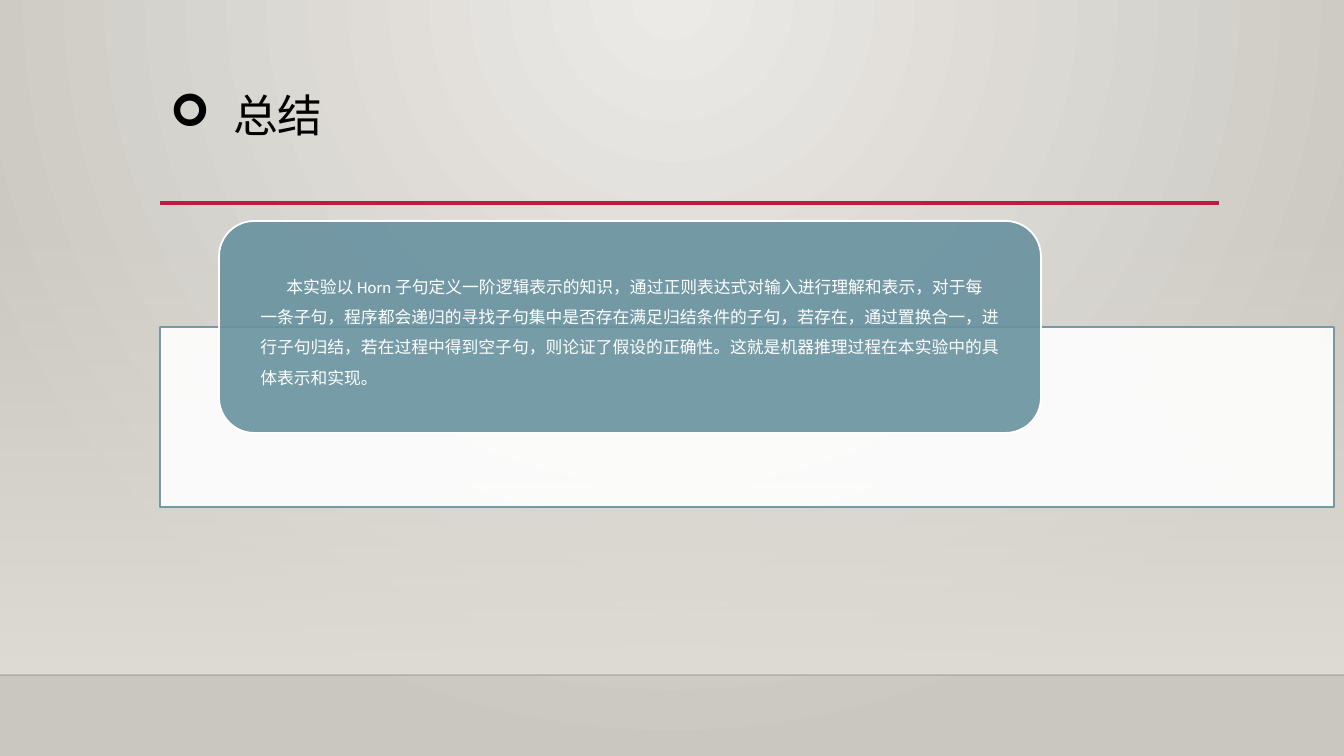
from lxml.etree import SubElement
from pptx import Presentation
from pptx.dml.color import RGBColor
from pptx.enum.shapes import MSO_CONNECTOR, MSO_SHAPE
from pptx.enum.text import MSO_ANCHOR, PP_ALIGN
from pptx.oxml import parse_xml
from pptx.oxml.ns import nsdecls, qn
from pptx.util import Pt

EMU_PER_PX = 914400 / 100.8
WIDTH, HEIGHT = 1344, 756
FLOOR_TOP = 675
FONT = "Calibri"
TEAL, WHITE, RED = "6892A0", "FFFFFF", "B71E42"
SUMMARY = (
    "本实验以 Horn 子句定义一阶逻辑表示的知识，通过正则表达式对输入进行理解和表示，"
    "对于每一条子句，程序都会递归的寻找子句集中是否存在满足归结条件的子句，若存在，"
    "通过置换合一，进行子句归结，若在过程中得到空子句，则论证了假设的正确性。"
    "这就是机器推理过程在本实验中的具体表示和实现。"
)


def px(length):
    return round(length * EMU_PER_PX)


def rgb(color):
    return RGBColor.from_string(color)


def set_opacity(fill, percent):
    color = fill._xPr.find(qn("a:solidFill"))[0]
    SubElement(color, qn("a:alpha"), val=str(percent * 1000))


def gradient(stops, direction):
    """Return a gradFill element; stops are (position, color, opacity)."""
    marks = "".join(
        f'<a:gs pos="{position * 1000}"><a:srgbClr val="{color}">'
        f'<a:alpha val="{opacity * 1000}"/></a:srgbClr></a:gs>'
        for position, color, opacity in stops
    )
    return parse_xml(
        f'<a:gradFill {nsdecls("a")} rotWithShape="1">'
        f"<a:gsLst>{marks}</a:gsLst>{direction}</a:gradFill>"
    )


def paint_background(slide):
    fill = slide.background.fill
    fill.solid()
    glow = gradient(
        [(0, "ECEAE7", 100), (100, "CAC7C1", 100)],
        '<a:path path="circle"><a:fillToRect l="43000" r="43000" b="100000"/></a:path>',
    )
    properties = fill._xPr
    properties.replace(properties.find(qn("a:solidFill")), glow)


def add_panel(slide, kind, left, top, width, height, color):
    panel = slide.shapes.add_shape(kind, px(left), px(top), px(width), px(height))
    panel.shadow.inherit = False
    panel.fill.solid()
    panel.fill.fore_color.rgb = rgb(color)
    panel.line.fill.background()
    return panel


def outline(panel, color, points):
    panel.line.color.rgb = rgb(color)
    panel.line.width = Pt(points)


def add_rule(slide, left, right, y, color, points):
    rule = slide.shapes.add_connector(
        MSO_CONNECTOR.STRAIGHT, px(left), px(y), px(right), px(y)
    )
    outline(rule, color, points)
    SubElement(rule._element.spPr, qn("a:effectLst"))
    return rule


def format_text(paragraph, size, color, spacing):
    paragraph.alignment = PP_ALIGN.LEFT
    paragraph.line_spacing = spacing
    for run in paragraph.runs:
        run.font.size = Pt(size)
        run.font.name = FONT
        run.font.color.rgb = rgb(color)


def add_wall(slide):
    wall = add_panel(slide, MSO_SHAPE.RECTANGLE, 0, 223, WIDTH, FLOOR_TOP - 223, WHITE)
    fade = gradient(
        [(0, "DFDBD5", 0), (100, "DFDBD5", 100)], '<a:lin ang="5400000" scaled="0"/>'
    )
    properties = wall._element.spPr
    properties.replace(properties.find(qn("a:solidFill")), fade)


def set_title(slide, text):
    title = slide.shapes.title
    title.left, title.top, title.width, title.height = map(px, (160, 89, 1058, 116))
    frame = title.text_frame
    frame.text = text
    frame.vertical_anchor = MSO_ANCHOR.TOP
    heading = frame.paragraphs[0]
    format_text(heading, 32, "000000", 0.9)
    properties = heading._p.get_or_add_pPr()
    properties.set("marL", str(px(63)))
    properties.set("indent", str(px(-63)))
    SubElement(properties, qn("a:buFont"), typeface="Wingdings")
    SubElement(properties, qn("a:buChar"), char="➢")


def add_summary(slide, text):
    backdrop = add_panel(slide, MSO_SHAPE.RECTANGLE, 160, 327, 1174, 180, WHITE)
    outline(backdrop, TEAL, 1.25)
    set_opacity(backdrop.fill, 90)
    set_opacity(backdrop.line.fill, 90)

    card = add_panel(slide, MSO_SHAPE.ROUNDED_RECTANGLE, 219, 221, 822, 212, TEAL)
    outline(card, WHITE, 1.25)
    set_opacity(card.fill, 90)
    frame = card.text_frame
    frame.word_wrap = True
    frame.vertical_anchor = MSO_ANCHOR.MIDDLE
    frame.margin_left = frame.margin_right = px(31)
    frame.margin_top = frame.margin_bottom = 0
    frame.text = text
    body = frame.paragraphs[0]
    format_text(body, 12, WHITE, 1.5)
    body._p.get_or_add_pPr().set("indent", str(px(26)))


def main():
    deck = Presentation()
    deck.slide_width, deck.slide_height = px(WIDTH), px(HEIGHT)
    slide = deck.slides.add_slide(deck.slide_layouts.get_by_name("Title Only"))
    paint_background(slide)
    add_wall(slide)
    floor_edge = add_rule(slide, 0, WIDTH, FLOOR_TOP, "000001", 1)
    set_opacity(floor_edge.line.fill, 20)
    add_rule(slide, 160, 1219, 203, RED, 2.5)
    set_title(slide, "总结")
    add_summary(slide, SUMMARY)
    deck.save("out.pptx")


if __name__ == "__main__":
    main()
